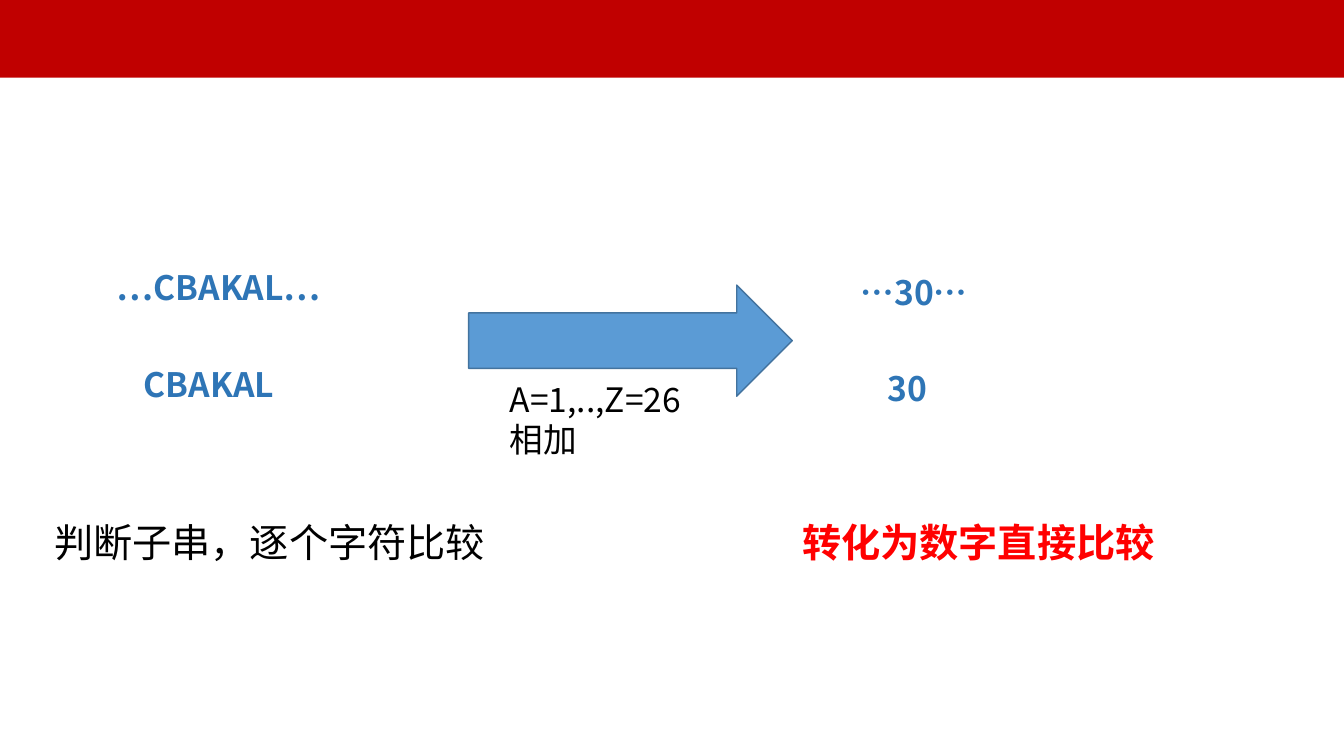
import dataclasses

import lxml.etree
import pptx
import pptx.dml.color
import pptx.enum.shapes
import pptx.enum.text
import pptx.oxml.ns
import pptx.util


@dataclasses.dataclass(frozen=True)
class Theme:
    banner: str = "C00000"
    arrow: str = "5B9BD5"
    arrow_edge: str = "43739E"
    code: str = "2E75B6"
    plain: str = "000000"
    accent: str = "FF0000"
    sans: str = "Noto Sans CJK SC"
    serif: str = "Times New Roman"
    code_size: int = 24
    caption_size: int = 28


class SlideBuilder:
    def __init__(self, page, theme):
        self.page = page
        self.theme = theme

    def color(self, value):
        return pptx.dml.color.RGBColor.from_string(value)

    def frame(self, left, top, width, height):
        return [pptx.util.Pt(length) for length in (left, top, width, height)]

    def shape(self, kind, bounds, fill, edge=None):
        shape = self.page.shapes.add_shape(kind, *self.frame(*bounds))
        shape.shadow.inherit = False
        shape.fill.solid()
        shape.fill.fore_color.rgb = self.color(fill)
        if edge:
            shape.line.color.rgb = self.color(edge)
            shape.line.width = pptx.util.Pt(1)
        else:
            shape.line.fill.background()
        return shape

    def text(self, bounds, lines, color, font, size, bold=False, spacing=1):
        box = self.page.shapes.add_textbox(*self.frame(*bounds))
        box.text_frame.word_wrap = True
        box.text_frame.auto_size = pptx.enum.text.MSO_AUTO_SIZE.SHAPE_TO_FIT_TEXT
        box.text_frame.text = "\n".join(lines)
        formats = {"name": font, "size": pptx.util.Pt(size), "bold": bold}
        for para in box.text_frame.paragraphs:
            para.line_spacing = float(spacing)
            for span in para.runs:
                for name, value in formats.items():
                    setattr(span.font, name, value)
                span.font.color.rgb = self.color(color)
                east_asian = lxml.etree.SubElement(
                    span.font._element, pptx.oxml.ns.qn("a:ea")
                )
                east_asian.set("typeface", self.theme.sans)

    def code_pair(self, left, top, context, pattern):
        theme = self.theme
        for offset, drop, width, line in ((0, 0, 206.6, context), (19.4, 69, 144.7, pattern)):
            self.text((left + offset, top + drop, width, 36), [line],
                      theme.code, theme.sans, theme.code_size, bold=True)

    def caption(self, left, width, line, color, bold=False):
        self.text((left, 333.4, width, 75), [line], color, self.theme.serif,
                  self.theme.caption_size, bold, spacing=2)


def main():
    deck = pptx.Presentation()
    deck.slide_width = pptx.util.Pt(960)
    deck.slide_height = pptx.util.Pt(540)
    theme = Theme()
    builder = SlideBuilder(deck.slides.add_slide(deck.slide_layouts[6]), theme)
    shapes = pptx.enum.shapes.MSO_SHAPE

    builder.shape(shapes.RECTANGLE, (0, 0, 960, 55.5), theme.banner)
    builder.caption(31.7, 345.6, "判断子串，逐个字符比较", theme.plain)
    builder.code_pair(76.3, 187.2, "…CBAKAL…", "CBAKAL")
    builder.caption(566, 288.7, "转化为数字直接比较", theme.accent, bold=True)
    builder.shape(shapes.RIGHT_ARROW, (334.8, 203.6, 231.2, 79.4),
                  theme.arrow, theme.arrow_edge)
    builder.text((357.1, 267.1, 154.8, 65.5), ["A=1,..,Z=26", "相加"],
                 theme.plain, theme.sans, theme.code_size)
    builder.code_pair(607.7, 190.5, "…30…", "30")
    deck.save("out.pptx")


if __name__ == "__main__":
    main()
